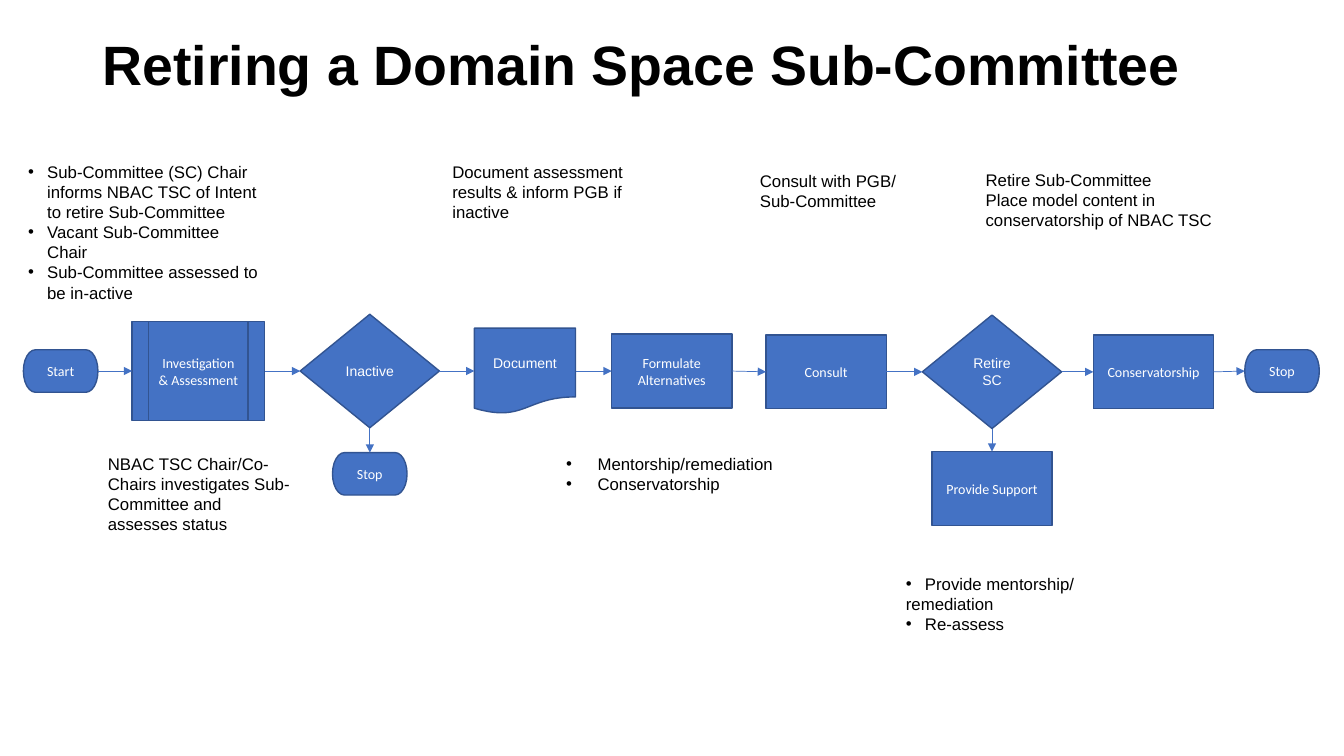
from dataclasses import dataclass

from pptx import Presentation
from pptx.dml.color import RGBColor
from pptx.enum.shapes import MSO_CONNECTOR, MSO_SHAPE
from pptx.enum.text import MSO_ANCHOR, MSO_AUTO_SIZE, PP_ALIGN
from pptx.oxml.ns import qn
from pptx.shapes.autoshape import Shape
from pptx.slide import Slide
from pptx.text.text import _Paragraph as Para
from pptx.util import Cm, Pt
from lxml.etree import SubElement

BLUE, EDGE, BLACK, WHITE = "4472C4", "325491", "000000", "FFFFFF"
BULLET = "• "
TOP, LEFT, BOTTOM, RIGHT = range(4)


@dataclass(frozen=True)
class Kind:
    """A flow chart form and its size in cm."""
    form: MSO_SHAPE
    width: float
    height: float


@dataclass(frozen=True)
class Step:
    """A flow chart step, placed by its centre in cm."""
    text: str
    kind: Kind
    x: float
    y: float
    font: str = "Calibri"


@dataclass(frozen=True)
class Note:
    """A free text, its box in cm and its bullet indent."""
    lines: tuple[str, ...]
    x: float
    y: float
    width: float
    height: float
    wrap: bool = True
    hang: float = 0.48


END = Kind(MSO_SHAPE.FLOWCHART_TERMINATOR, 1.88, 1.07)
TASK = Kind(MSO_SHAPE.FLOWCHART_PROCESS, 3.03, 1.86)
CHECK = Kind(MSO_SHAPE.FLOWCHART_DECISION, 3.51, 2.86)
PROBE = Kind(MSO_SHAPE.FLOWCHART_PREDEFINED_PROCESS, 3.34, 2.49)
PAPER = Kind(MSO_SHAPE.FLOWCHART_DOCUMENT, 2.55, 2.16)

FLOW = (
    Step("Start", END, 1.53, 9.35),
    Step("Investigation & Assessment", PROBE, 5, 9.35),
    Step("Inactive", CHECK, 9.32, 9.35, "Arial"),
    Step("Document", PAPER, 13.23, 9.35, "Arial"),
    Step("Formulate Alternatives", TASK, 16.93, 9.35),
    Step("Consult", TASK, 20.82, 9.37),
    Step("Retire SC", CHECK, 25, 9.37, "Arial"),
    Step("Conservatorship", TASK, 29.07, 9.37),
    Step("Stop", END, 32.31, 9.35),
)
BRANCH = {
    2: Step("Stop", END, 9.32, 11.94),
    6: Step("Provide Support", TASK, 25, 12.31),
}
NOTES = (
    Note(("• Sub-Committee (SC) Chair informs NBAC TSC of Intent to retire Sub-Committee",
          "• Vacant Sub-Committee Chair",
          "• Sub-Committee assessed to be in-active"), 0.46, 3.94, 6.32, 3.84),
    Note(("NBAC TSC Chair/Co-Chairs investigates Sub-Committee and assesses status",),
         2.47, 11.3, 5.1, 2.31),
    Note(("Document assessment results & inform PGB if inactive",),
         11.15, 3.94, 5.05, 1.8),
    Note(("• Mentorship/remediation", "• Conservatorship"),
         14.02, 11.3, 5.77, 1.27, False, 0.79),
    Note(("Consult with PGB/", "Sub-Committee"), 18.9, 4.17, 4.09, 1.27, False),
    Note(("• Provide mentorship/", "remediation", "• Re-assess"),
         22.58, 14.33, 4.78, 1.8, False),
    Note(("Retire Sub-Committee", "Place model content in",
          "conservatorship of NBAC TSC"), 24.59, 4.14, 6.27, 1.8, False),
)


def shade(code: str) -> RGBColor:
    """Turn a hex string into a colour."""
    return RGBColor.from_string(code)


def style(para: Para, font: str, size: float, code: str, bold: bool = False) -> None:
    """Format every run of a paragraph."""
    for run in para.runs:
        run.font.name, run.font.size, run.font.bold = font, Pt(size), bold
        run.font.color.rgb = shade(code)


def add_title(slide: Slide, text: str) -> None:
    """Place and format the title."""
    title = slide.shapes.title
    title.left, title.top, title.width, title.height = Cm(2.33), Cm(1.02), Cm(29.2), Cm(1.35)
    frame = title.text_frame
    frame.text = text
    frame.word_wrap, frame.auto_size = True, MSO_AUTO_SIZE.NONE
    frame.vertical_anchor = MSO_ANCHOR.MIDDLE
    para = frame.paragraphs[0]
    para.alignment, para.line_spacing = PP_ALIGN.LEFT, 0.9
    style(para, "Arial", 39.6, BLACK, True)


def add_step(slide: Slide, step: Step) -> Shape:
    """Draw one step around its centre."""
    kind = step.kind
    shape = slide.shapes.add_shape(
        kind.form, Cm(step.x - kind.width / 2), Cm(step.y - kind.height / 2),
        Cm(kind.width), Cm(kind.height))
    shape.shadow.inherit = False
    shape.fill.solid()
    shape.fill.fore_color.rgb = shade(BLUE)
    shape.line.color.rgb = shade(EDGE)
    shape.line.width = Pt(1)
    frame = shape.text_frame
    frame.text = step.text
    frame.word_wrap, frame.vertical_anchor = True, MSO_ANCHOR.MIDDLE
    frame.paragraphs[0].alignment = PP_ALIGN.CENTER
    style(frame.paragraphs[0], step.font, 10, WHITE)
    return shape


def add_arrow(slide: Slide, start: Shape, out: int, goal: Shape, into: int) -> None:
    """Join two steps by an arrow."""
    arrow = slide.shapes.add_connector(MSO_CONNECTOR.STRAIGHT, 0, 0, 0, 0)
    arrow.begin_connect(start, out)
    arrow.end_connect(goal, into)
    arrow.line.color.rgb = shade(BLUE)
    arrow.line.width = Pt(0.5)
    props = arrow.element.spPr
    SubElement(props.find(qn("a:ln")), qn("a:tailEnd"), type="triangle")
    SubElement(props, qn("a:effectLst"))


def add_bullet(para: Para, hang: float) -> None:
    """Give a paragraph a hanging bullet."""
    props = para._p.get_or_add_pPr()
    props.set("marL", str(Cm(hang)))
    props.set("indent", str(-Cm(hang)))
    SubElement(props, qn("a:buFont"), typeface="Arial")
    SubElement(props, qn("a:buChar"), char=BULLET.strip())


def add_note(slide: Slide, note: Note) -> None:
    """Write one note with its bullets."""
    box = slide.shapes.add_textbox(Cm(note.x), Cm(note.y), Cm(note.width), Cm(note.height))
    frame = box.text_frame
    frame.word_wrap, frame.auto_size = note.wrap, MSO_AUTO_SIZE.SHAPE_TO_FIT_TEXT
    frame.text = "\n".join(line.removeprefix(BULLET) for line in note.lines)
    for para, line in zip(frame.paragraphs, note.lines):
        if line.startswith(BULLET):
            add_bullet(para, note.hang)
        style(para, "Arial", 12, BLACK)


def main() -> None:
    """Build and save the slide."""
    deck = Presentation()
    deck.slide_width, deck.slide_height = Cm(33.87), Cm(19.05)
    slide = deck.slides.add_slide(deck.slide_layouts[5])
    add_title(slide, "Retiring a Domain Space Sub-Committee")
    for note in NOTES:
        add_note(slide, note)
    chain = [add_step(slide, step) for step in FLOW]
    for start, goal in zip(chain, chain[1:]):
        add_arrow(slide, start, RIGHT, goal, LEFT)
    for place, step in BRANCH.items():
        add_arrow(slide, chain[place], BOTTOM, add_step(slide, step), TOP)
    deck.save("out.pptx")


if __name__ == "__main__":
    main()
